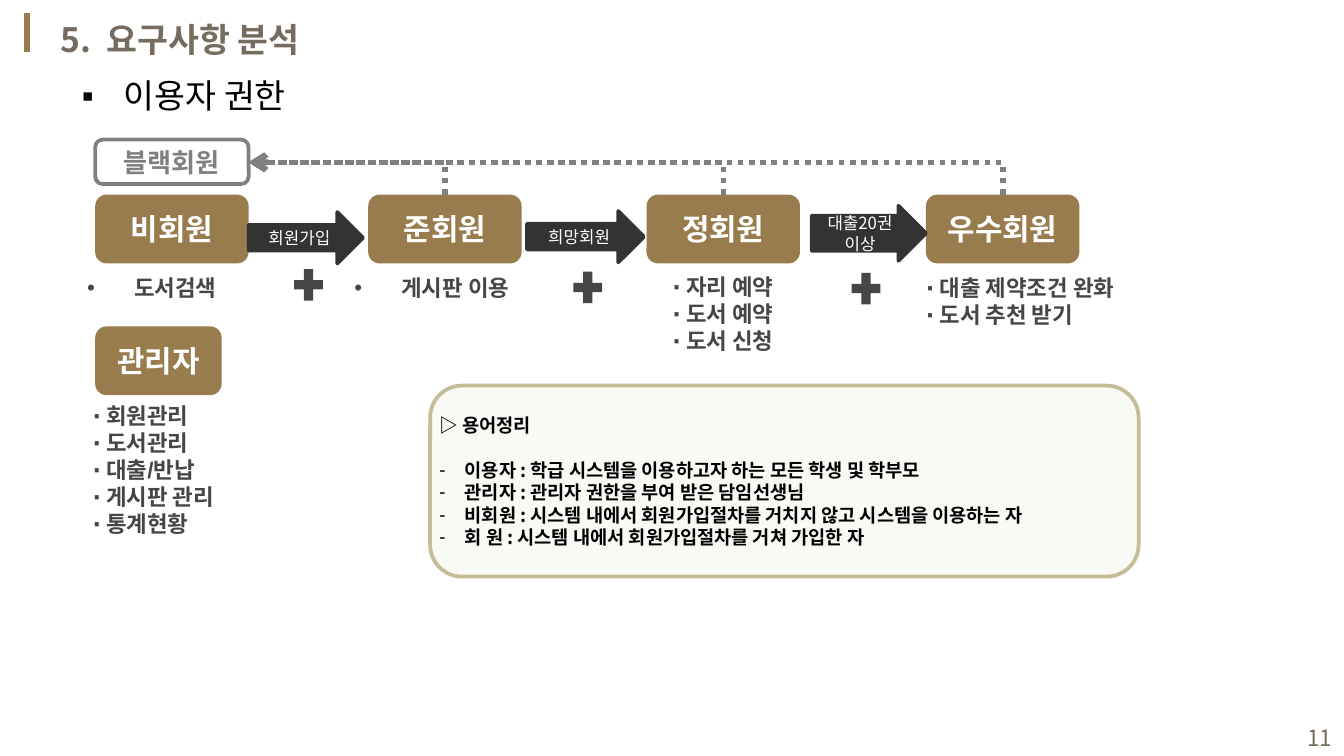
from lxml.etree import SubElement
from pptx import Presentation
from pptx.dml.color import RGBColor
from pptx.enum.dml import MSO_LINE
from pptx.enum.shapes import MSO_CONNECTOR, MSO_SHAPE
from pptx.enum.text import MSO_ANCHOR, PP_ALIGN
from pptx.oxml.ns import qn
from pptx.util import Cm, Pt

FONT = "Noto Sans CJK KR"
COLORS = {
    "brown": "987C4D", "taupe": "756B5F", "dark": "333333",
    "text": "464646", "gray": "808080", "white": "FFFFFF",
    "black": "000000", "cream": "EEECE1", "sand": "C4BD97",
}
ALIGN = {"l": PP_ALIGN.LEFT, "c": PP_ALIGN.CENTER, "r": PP_ALIGN.RIGHT}
LIST = dict(size=12, color="text", bold=True, font="Arial", line=14.5)


def rgb(name):
    return RGBColor.from_string(COLORS[name])


def set_bullet(p, char, margin, indent):
    pPr = p._p.get_or_add_pPr()
    pPr.set("marL", str(Cm(margin)))
    pPr.set("indent", str(Cm(indent)))
    SubElement(pPr, qn("a:buFont"), typeface="Arial")
    SubElement(pPr, qn("a:buChar"), char=char)


def write(tf, lines, size=12, color="black", bold=False, font=FONT, align="l",
          anchor=MSO_ANCHOR.TOP, line=None, bullet=None, inset=None):
    tf.word_wrap = True
    tf.vertical_anchor = anchor
    if inset is not None:
        tf.margin_left = tf.margin_right = Cm(inset)
        tf.margin_top = tf.margin_bottom = Cm(inset)
    for i, text in enumerate(lines):
        p = tf.paragraphs[0] if i == 0 else tf.add_paragraph()
        p.alignment = ALIGN[align]
        if line:
            p.line_spacing = Pt(line)
        if bullet:
            set_bullet(p, *bullet)
        r = p.add_run()
        r.text = text
        r.font.size = Pt(size)
        r.font.bold = bold
        r.font.name = font
        r.font.color.rgb = rgb(color)
        SubElement(r._r.get_or_add_rPr(), qn("a:ea"), typeface=FONT)


def add_text(s, box, lines, **fmt):
    write(s.shapes.add_textbox(*map(Cm, box)).text_frame, lines, **fmt)


def add_shape(s, kind, box, fill=None, line=None):
    sp = s.shapes.add_shape(kind, *map(Cm, box))
    sp.shadow.inherit = False
    if fill:
        sp.fill.solid()
        sp.fill.fore_color.rgb = rgb(fill)
    else:
        sp.fill.background()
    if line:
        sp.line.color.rgb = rgb(line)
        sp.line.width = Pt(2)
    else:
        sp.line.fill.background()
    return sp


def add_role(s, box, name, fill="brown", line=None, color="white", size=16):
    sp = add_shape(s, MSO_SHAPE.ROUNDED_RECTANGLE, box, fill, line)
    write(sp.text_frame, [name], size=size, color=color, bold=True,
          align="c", anchor=MSO_ANCHOR.MIDDLE)


def add_step(s, box, label, shaft=0.5):
    sp = add_shape(s, MSO_SHAPE.RIGHT_ARROW, box, "dark", "dark")
    sp.adjustments[0] = shaft
    write(sp.text_frame, [label], size=9, color="white", align="c",
          anchor=MSO_ANCHOR.MIDDLE)


def add_line(s, kind, ends, color):
    c = s.shapes.add_connector(kind, *map(Cm, ends))
    c.line.color.rgb = rgb(color)
    c.line.width = Pt(3)
    SubElement(c._element.spPr, qn("a:effectLst"))
    return c


def add_return_path(s, x, bottom, tip_x, tip_y):
    half_w, half_h = (bottom - tip_y) / 2, (x - tip_x) / 2
    cx, cy = (x + tip_x) / 2, (bottom + tip_y) / 2
    ends = (cx - half_w, cy + half_h, cx + half_w, cy - half_h)
    c = add_line(s, MSO_CONNECTOR.ELBOW, ends, "gray")
    c.line.dash_style = MSO_LINE.ROUND_DOT
    spPr = c._element.spPr
    spPr.find(qn("a:xfrm")).set("rot", "16200000")
    spPr.find(qn("a:prstGeom")).set("prst", "bentConnector2")
    SubElement(spPr.find(qn("a:ln")), qn("a:tailEnd"), type="arrow")


def add_glossary(s):
    sp = add_shape(s, MSO_SHAPE.ROUNDED_RECTANGLE, (8.13, 7.29, 13.39, 3.61),
                   "cream", "sand")
    color = sp._element.spPr.find(qn("a:solidFill"))[0]
    SubElement(color, qn("a:alpha"), val="30000")
    tf = sp.text_frame
    write(tf, [
        "▷ 용어정리",
        "이용자 : 학급 시스템을 이용하고자 하는 모든 학생 및 학부모",
        "관리자 : 관리자 권한을 부여 받은 담임선생님",
        "비회원 : 시스템 내에서 회원가입절차를 거치지 않고 시스템을 이용하는 자",
        "회 원 : 시스템 내에서 회원가입절차를 거쳐 가입한 자",
    ], size=10, bold=True, line=12, anchor=MSO_ANCHOR.MIDDLE, inset=0)
    tf.paragraphs[0].space_after = Pt(12)
    for p in tf.paragraphs[1:]:
        set_bullet(p, "-", 0.48, -0.48)


def main():
    prs = Presentation()
    prs.slide_width, prs.slide_height = Cm(25.4), Cm(14.29)
    s = prs.slides.add_slide(prs.slide_layouts[5])

    title = s.shapes.title
    title.left, title.top, title.width, title.height = map(Cm, (0.89, 0.23, 6.2, 1.02))
    write(title.text_frame, ["5.  요구사항 분석"], size=18, color="taupe",
          bold=True, line=21.6)
    add_line(s, MSO_CONNECTOR.STRAIGHT, (0.51, 0.25, 0.51, 0.99), "brown")
    hanging = (0.79, -0.79)
    add_text(s, (1.3, 1.3, 4.42, 1.02), ["이용자 권한"], size=18, line=21.6,
             bullet=("▪", *hanging))

    top, width, height = 3.68, 2.9, 1.3
    roles = [(1.8, "비회원"), (6.96, "준회원"), (12.22, "정회원"), (17.5, "우수회원")]
    for x, name in roles:
        add_role(s, (x, top, width, height), name)
    add_role(s, (1.8, 6.17, 2.39, height), "관리자")
    add_role(s, (1.8, 2.64, width, 0.84), "블랙회원", None, "gray", "gray", 14)
    for x, _ in roles[1:]:
        add_return_path(s, x + width / 2, top, 1.8 + width, 3.07)

    add_step(s, (4.7, 4.01, 2.16, 0.97), "회원가입")
    add_step(s, (9.96, 3.99, 2.21, 0.97), "희망회원")
    add_step(s, (15.34, 3.89, 2.16, 1.04), "대출20권 이상", 0.64)
    for x, y in [(5.46, 4.98), (10.74, 5.03), (16, 5.05)]:
        add_shape(s, MSO_SHAPE.MATH_PLUS, (x, y, 0.74, 0.81), "text")

    for x, w, text in [(0.89, 3.96, " 도서검색"), (5.89, 4.55, " 게시판 이용")]:
        add_text(s, (x, 5.05, w, 0.76), [text], align="c",
                 bullet=("•", *hanging), **LIST)
    add_text(s, (11.53, 5.03, 4.27, 1.85),
             ["∙ 자리 예약", "∙ 도서 예약", "∙ 도서 신청"], align="c", **LIST)
    add_text(s, (17.25, 5.05, 5.87, 1.3),
             ["∙ 대출 제약조건 완화", "∙ 도서 추천 받기"], **LIST)
    add_text(s, (1.5, 7.47, 3.96, 2.82),
             ["∙ 회원관리", "∙ 도서관리", "∙ 대출/반납", "∙ 게시판 관리", "∙ 통계현황"],
             **LIST)

    add_glossary(s)
    add_text(s, (19.51, 13.56, 5.92, 0.76), ["11"], color="taupe", align="r",
             anchor=MSO_ANCHOR.MIDDLE)
    prs.save("out.pptx")


if __name__ == "__main__":
    main()
